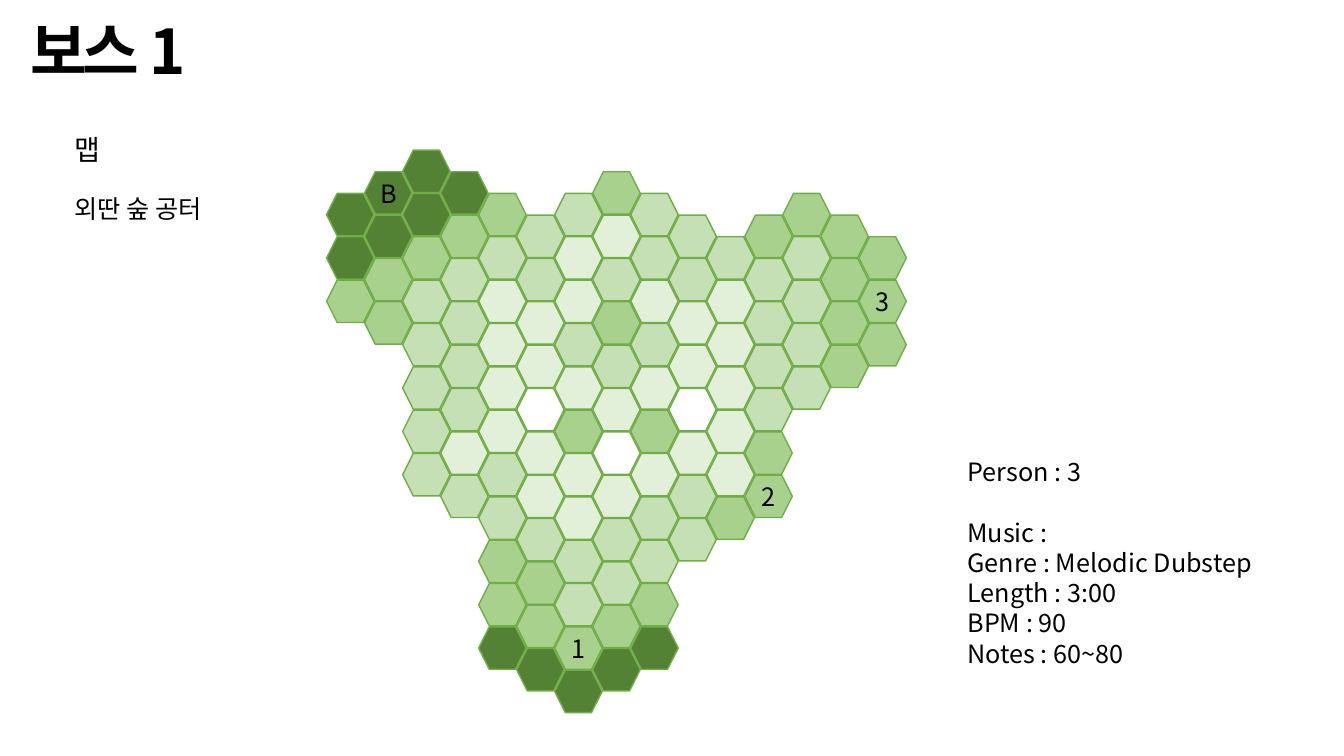
from pptx import Presentation
from pptx.dml.color import RGBColor
from pptx.enum.shapes import MSO_SHAPE
from pptx.enum.text import MSO_ANCHOR, PP_ALIGN
from pptx.util import Pt
from lxml import etree

HEXAGON = MSO_SHAPE.HEXAGON
TOP, MIDDLE = MSO_ANCHOR.TOP, MSO_ANCHOR.MIDDLE
LEFT, CENTER = PP_ALIGN.LEFT, PP_ALIGN.CENTER
FONT = "Noto Sans CJK KR"
DRAWING = "{http://schemas.openxmlformats.org/drawingml/2006/main}"
BLACK = RGBColor(0x00, 0x00, 0x00)
OUTLINE = RGBColor(0x70, 0xAD, 0x47)
SHADES = {
    "D": RGBColor(0x54, 0x82, 0x35),
    "M": RGBColor(0xA9, 0xD1, 0x8E),
    "L": RGBColor(0xC5, 0xE0, 0xB4),
    "P": RGBColor(0xE2, 0xF0, 0xD9),
    "W": RGBColor(0xFF, 0xFF, 0xFF),
}


def write_text(shape, text, size=18, bold=False, align=LEFT, anchor=TOP,
               wrap=False, margins=(7.2, 3.6), spacing=None, tracking=0):
    frame = shape.text_frame
    frame.word_wrap = wrap
    frame.vertical_anchor = anchor
    frame.margin_left = frame.margin_right = Pt(margins[0])
    frame.margin_top = frame.margin_bottom = Pt(margins[1])
    frame.text = text
    for paragraph in frame.paragraphs:
        paragraph.alignment = align
        paragraph.line_spacing = spacing
        run = paragraph.runs[0]
        run.font.name = FONT
        run.font.size = Pt(size)
        run.font.bold = bold
        run.font.color.rgb = BLACK
        properties = run.font._element
        etree.SubElement(properties, DRAWING + "ea").set("typeface", FONT)
        if tracking:
            properties.set("spc", str(tracking * 100))
    return frame


presentation = Presentation()
presentation.slide_width = Pt(960)
presentation.slide_height = Pt(540)
slide = presentation.slides.add_slide(presentation.slide_layouts[5])

title = slide.shapes.title
title.left, title.top, title.width, title.height = Pt(14.4), Pt(-13), Pt(828), Pt(104.4)
write_text(title, "보스 1", size=44, bold=True, anchor=MIDDLE, wrap=True,
           spacing=0.9, tracking=-3)

map_heading = slide.shapes.add_textbox(Pt(46), Pt(91.4), Pt(34.6), Pt(31.7))
write_text(map_heading, "맵", size=20)
map_name = slide.shapes.add_textbox(Pt(46), Pt(134.6), Pt(118), Pt(28.8))
write_text(map_name, "외딴 숲 공터")

MAP_LEFT, MAP_TOP = 233.3, 107.2
COLUMN_STEP, HALF_ROW = 27.16, 15.48
TILE_WIDTH, TILE_HEIGHT = 33.9, 30.3
MAP_COLUMNS = [
    (2, "DDM"),
    (1, "DDMM"),
    (0, "DDMLLLLL"),
    (1, "DMLLLLPL"),
    (2, "MLPPPPLLMMD"),
    (3, "LLPPWPPLMMD"),
    (2, "LPPLPMPPLLMD"),
    (1, "MPLMLPWPLLMD"),
    (2, "LLPLPMPLLMD"),
    (3, "LLPPWPLL"),
    (4, "LPPPPPM"),
    (3, "MLLLLMM"),
    (2, "MLLLL"),
    (3, "MMMM"),
    (4, "MMM"),
]
MARKERS = {(1, 0): "B", (6, 10): "1", (11, 6): "2", (14, 1): "3"}

for column, (first_half_row, tiles) in enumerate(MAP_COLUMNS):
    for row, shade in enumerate(tiles):
        tile = slide.shapes.add_shape(
            HEXAGON,
            Pt(MAP_LEFT + column * COLUMN_STEP),
            Pt(MAP_TOP + (first_half_row + 2 * row) * HALF_ROW),
            Pt(TILE_WIDTH), Pt(TILE_HEIGHT))
        tile.shadow.inherit = False
        tile.fill.solid()
        tile.fill.fore_color.rgb = SHADES[shade]
        tile.line.color.rgb = OUTLINE
        tile.line.width = Pt(1)
        if (column, row) in MARKERS:
            write_text(tile, MARKERS[column, row], align=CENTER, anchor=MIDDLE,
                       margins=(0, 0))

details = slide.shapes.add_textbox(Pt(684), Pt(322.6), Pt(221), Pt(181.4))
details_frame = write_text(details, "\n".join([
    "Person : 3",
    "Music :",
    "Genre : Melodic Dubstep",
    "Length : 3:00",
    "BPM : 90",
    "Notes : 60~80",
]))
details_frame.paragraphs[0].space_after = Pt(21.5)

presentation.save("out.pptx")
